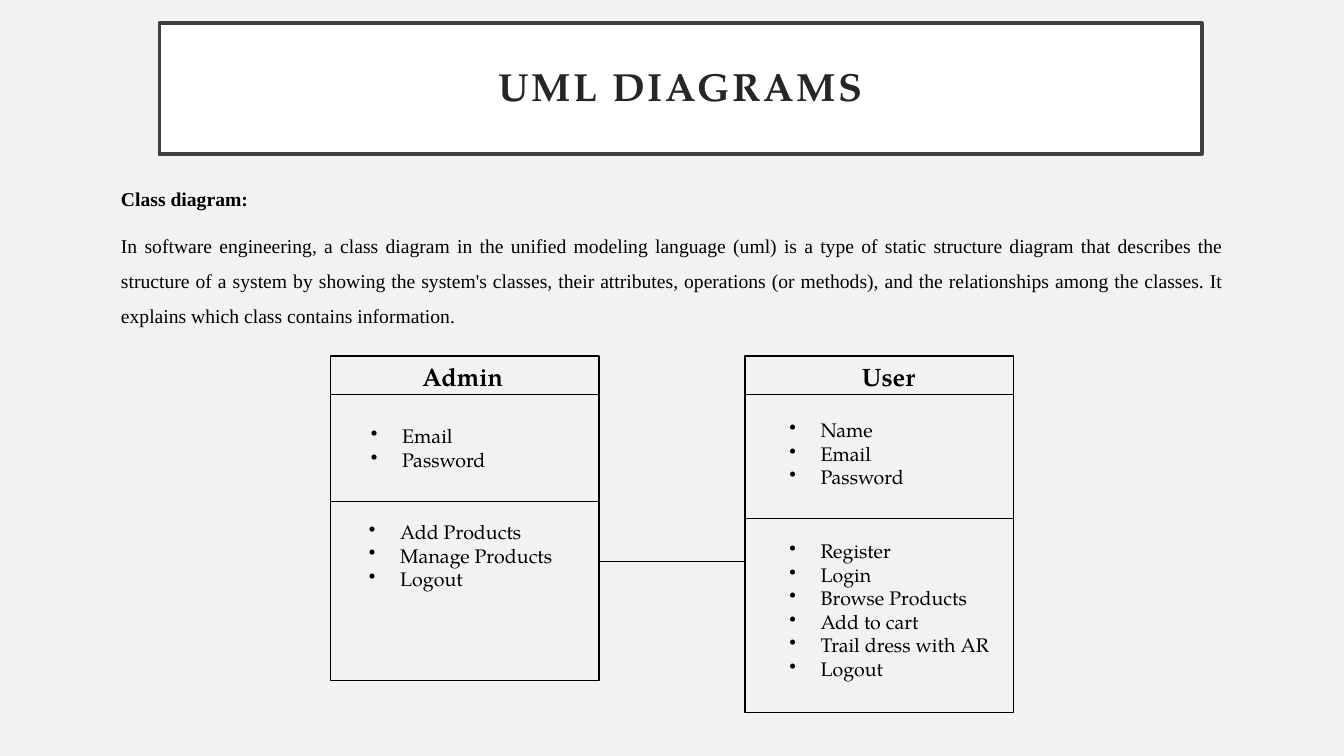
import lxml.etree
import pptx
import pptx.dml.color
import pptx.enum.shapes
import pptx.enum.text
import pptx.oxml.ns
import pptx.util

WIDTH, HEIGHT = 13.33, 7.5
SERIF, BODY = "TeX Gyre Pagella", "Times New Roman"
BLACK = "000000"
CLASS_TOP, CLASS_W, NAME_RULE = 47.07, 19.95, 52.13
ALIGN = pptx.enum.text.PP_ALIGN
ANCHOR = pptx.enum.text.MSO_ANCHOR
AUTO = pptx.enum.text.MSO_AUTO_SIZE
CLASSES = [
    {"name": "Admin", "name_left": 30.68, "left": 24.61, "height": 42.93, "rule": 66.27,
     "lists": [(26.86, 55.47, ["Email", "Password"]),
               (26.71, 68.13, ["Add Products", "Manage Products", "Logout"])]},
    {"name": "User", "name_left": 63.39, "left": 55.44, "height": 47.2, "rule": 68.53,
     "lists": [(57.99, 54.67, ["Name", "Email", "Password"]),
               (57.99, 70.67, ["Register", "Login", "Browse Products", "Add to cart",
                               "Trail dress with AR", "Logout"])]},
]


def x(share):
    """Return a percentage of the slide's width as a length."""
    return pptx.util.Inches(WIDTH * share / 100)


def y(share):
    """Return a percentage of the slide's height as a length."""
    return pptx.util.Inches(HEIGHT * share / 100)


def paint(fmt, color):
    """Give a fill or font colour format a solid hex colour."""
    fmt.solid()
    fmt.fore_color.rgb = pptx.dml.color.RGBColor.from_string(color)


def outline(sp, color, width):
    """Set the line of a shape or connector."""
    paint(sp.line.fill, color)
    sp.line.width = pptx.util.Pt(width)


def place(sp, left, top, width, height):
    """Move and size a placeholder in shares of the slide."""
    sp.left, sp.top, sp.width, sp.height = x(left), y(top), x(width), y(height)


def add_run(p, text, font, size, color=BLACK, bold=False):
    """Append a formatted run to a paragraph."""
    r = p.add_run()
    r.text = text
    r.font.name, r.font.size, r.font.bold = font, pptx.util.Pt(size), bold
    paint(r.font.fill, color)
    return r


def set_bullet(p, char=None):
    """Give a paragraph a hanging bullet, or none at all."""
    pPr = p._p.get_or_add_pPr()
    indent = pptx.util.Inches(0.31) if char else 0
    pPr.set("marL", str(indent))
    pPr.set("indent", str(-indent))
    bullet = lxml.etree.SubElement(pPr, pptx.oxml.ns.qn("a:buChar" if char else "a:buNone"))
    if char:
        bullet.set("char", char)


def next_paragraph(tf, i):
    """Return the first paragraph of a frame, or a new one after it."""
    return tf.add_paragraph() if i else tf.paragraphs[0]


def add_title(s, text):
    """Fill the framed title placeholder."""
    sp = s.shapes.title
    place(sp, 11.85, 3.07, 77.57, 17.33)
    paint(sp.fill, "FFFFFF")
    outline(sp, "404040", 2.5)
    tf = sp.text_frame
    tf.auto_size, tf.vertical_anchor = AUTO.NONE, ANCHOR.MIDDLE
    tf.margin_left = tf.margin_right = tf.margin_top = tf.margin_bottom = pptx.util.Inches(0.2)
    p = tf.paragraphs[0]
    p.alignment, p.line_spacing = ALIGN.CENTER, 0.9
    r = add_run(p, text, SERIF, 28, "262626", True)
    r.font._element.set("spc", "200")


def add_body(s, heading, text):
    """Fill the body placeholder with a bold heading and a justified text."""
    sp = s.placeholders[1]
    place(sp, 8.25, 22.53, 83.57, 74.4)
    tf = sp.text_frame
    tf.auto_size, tf.vertical_anchor = AUTO.NONE, ANCHOR.TOP
    for i, line in enumerate([heading, text]):
        p = next_paragraph(tf, i)
        p.alignment, p.line_spacing = ALIGN.JUSTIFY, 1.5
        p.space_before, p.space_after = pptx.util.Pt(0), pptx.util.Pt(8)
        set_bullet(p)
        add_run(p, line, BODY, 14, bold=i == 0)


def add_line(shapes, left, top, right):
    """Draw a thin horizontal line."""
    c = shapes.add_connector(pptx.enum.shapes.MSO_CONNECTOR.STRAIGHT,
                             x(left), y(top), x(right), y(top))
    outline(c, BLACK, 0.5)
    lxml.etree.SubElement(c._element.spPr, pptx.oxml.ns.qn("a:effectLst"))


def add_text(shapes, left, top, width, height):
    """Add a wrapping text box and return its frame."""
    tf = shapes.add_textbox(x(left), y(top), x(width), y(height)).text_frame
    tf.word_wrap, tf.auto_size = True, AUTO.SHAPE_TO_FIT_TEXT
    return tf


def add_list(shapes, left, top, items):
    """Add a bulleted list as high as its items."""
    tf = add_text(shapes, left, top, 17.4, 1.4 + 3.13 * len(items))
    for i, item in enumerate(items):
        p = next_paragraph(tf, i)
        set_bullet(p, "•")
        add_run(p, item, SERIF, 14)


def add_class(shapes, cls):
    """Draw a class box with its name, attributes and operations."""
    left = cls["left"]
    sp = shapes.add_shape(pptx.enum.shapes.MSO_SHAPE.RECTANGLE,
                          x(left), y(CLASS_TOP), x(CLASS_W), y(cls["height"]))
    sp.shadow.inherit = False
    sp.fill.background()
    outline(sp, BLACK, 1)
    for top in (NAME_RULE, cls["rule"]):
        add_line(shapes, left, top, left + CLASS_W)
    tf = add_text(shapes, cls["name_left"], CLASS_TOP, 7.8, 5.33)
    add_run(tf.paragraphs[0], cls["name"], SERIF, 18, bold=True)
    for list_left, top, items in cls["lists"]:
        add_list(shapes, list_left, top, items)


def main():
    """Build the class diagram slide and save it."""
    prs = pptx.Presentation()
    prs.slide_width, prs.slide_height = x(100), y(100)
    s = prs.slides.add_slide(prs.slide_layouts[1])
    paint(s.background.fill, "F2F2F2")
    add_title(s, "UML DIAGRAMS")
    add_body(s, "Class diagram:",
             "In software engineering, a class diagram in the unified modeling language (uml) "
             "is a type of static structure diagram that describes the structure of a system "
             "by showing the system's classes, their attributes, operations (or methods), and "
             "the relationships among the classes. It explains which class contains information.")
    diagram = s.shapes.add_group_shape().shapes
    for cls in CLASSES:
        add_class(diagram, cls)
    admin, user = CLASSES
    add_line(diagram, admin["left"] + CLASS_W, 74.27, user["left"])
    prs.save("out.pptx")


if __name__ == "__main__":
    main()
